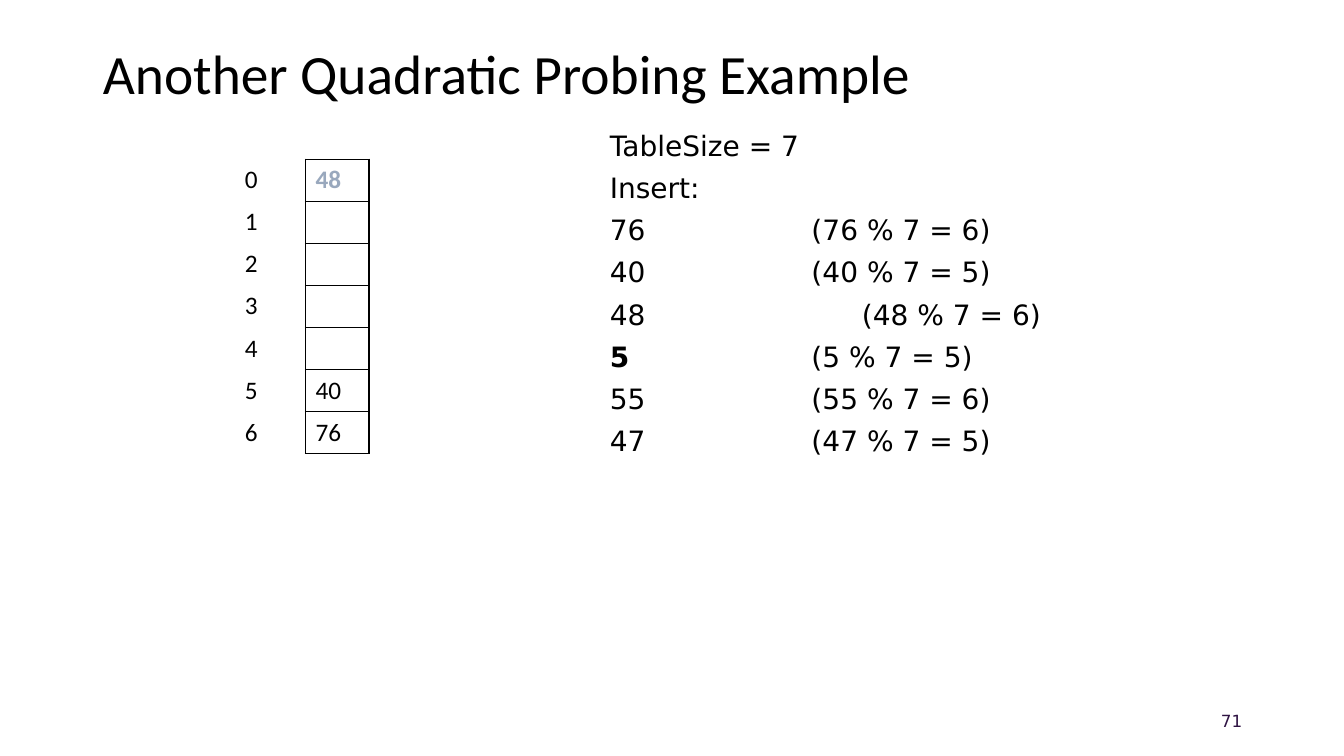
from lxml import etree
from pptx import Presentation
from pptx import util as u
from pptx.dml.color import RGBColor
from pptx.enum import text
from pptx.oxml import ns

BLACK = RGBColor(0x00, 0x00, 0x00)
SLATE = RGBColor(0x99, 0xA8, 0xBD)
PURPLE = RGBColor(0x2F, 0x13, 0x43)

SLOTS = ["48", "", "", "", "", "40", "76"]
# key, its hash calculation, tab position in inches, bold key
INSERTS = [
    ("76", "(76 % 7 = 6)", 2, False),
    ("40", "(40 % 7 = 5)", 2, False),
    ("48", "(48 % 7 = 6)", 2.5, False),
    ("5", "(5 % 7 = 5)", 2, True),
    ("55", "(55 % 7 = 6)", 2, False),
    ("47", "(47 % 7 = 5)", 2, False),
]


class LecturePage:
    heading_font = "Calibri"
    body_font = "DejaVu Sans"

    def __init__(self, deck):
        self.page = deck.slides.add_slide(deck.slide_layouts[5])

    def add_span(self, para, words, font, size, color=BLACK, bold=False):
        span = para.add_run()
        span.text = words
        span.font.name, span.font.size = font, u.Pt(size)
        span.font.bold, span.font.color.rgb = bold, color

    def add_title(self, words):
        box = self.page.shapes.title
        box.left, box.top = u.Inches(0.92), u.Inches(0.4)
        box.width, box.height = u.Inches(11.5), u.Inches(0.72)
        frame = box.text_frame
        frame.auto_size = text.MSO_AUTO_SIZE.NONE
        frame.vertical_anchor = text.MSO_ANCHOR.MIDDLE
        para = frame.paragraphs[0]
        para.alignment = text.PP_ALIGN.LEFT
        para.line_spacing = 0.9
        self.add_span(para, words, self.heading_font, 39.6)

    def add_frame(self, left, top, width, height):
        box = self.page.shapes.add_textbox(
            u.Inches(left), u.Inches(top), u.Inches(width), u.Inches(height))
        box.text_frame.word_wrap = True
        return box.text_frame

    def add_page_number(self, number):
        frame = self.add_frame(9.42, 6.95, 3, 0.4)
        frame.vertical_anchor = text.MSO_ANCHOR.MIDDLE
        para = frame.paragraphs[0]
        para.alignment = text.PP_ALIGN.RIGHT
        self.add_span(para, number, self.body_font, 12, PURPLE)

    def border_cell(self, cell, sides):
        properties = cell._tc.get_or_add_tcPr()
        # Borders come before the fill in the cell properties
        for position, side in enumerate(sides):
            line = etree.Element(ns.qn(f"a:ln{side}"), w=str(u.Pt(1)))
            fill = etree.SubElement(line, ns.qn("a:solidFill"))
            etree.SubElement(fill, ns.qn("a:srgbClr"), val=str(BLACK))
            properties.insert(position, line)

    def add_hash_table(self, slots):
        row_height = u.Inches(2.92 / len(slots))
        table = self.page.shapes.add_table(
            len(slots), 2, u.Inches(2.33), u.Inches(1.58),
            u.Inches(1.33), row_height * len(slots)).table
        table.first_row = table.horz_banding = False
        table.columns[0].width = u.Inches(0.7)
        table.columns[1].width = u.Inches(0.63)
        for index, value in enumerate(slots):
            table.rows[index].height = row_height
            for column, words in enumerate((str(index), value)):
                cell = table.cell(index, column)
                cell.vertical_anchor = text.MSO_ANCHOR.MIDDLE
                cell.fill.background()
                self.border_cell(cell, "LRTB" if column else "R")
                if words:
                    newest = column == 1 and words == "48"
                    self.add_span(cell.text_frame.paragraphs[0], words,
                                  self.heading_font, 18,
                                  SLATE if newest else BLACK, newest)

    def add_list_para(self, frame, first=False, tab=None):
        para = frame.paragraphs[0] if first else frame.add_paragraph()
        if tab:
            properties = para._p.get_or_add_pPr()
            tabs = etree.SubElement(properties, ns.qn("a:tabLst"))
            etree.SubElement(tabs, ns.qn("a:tab"),
                             pos=str(u.Inches(tab)), algn="l")
        para.space_before = u.Pt(0 if first else 6)
        return para

    def add_insert_list(self, headings, inserts):
        frame = self.add_frame(5.95, 1.23, 4.82, 4.64)
        for index, words in enumerate(headings):
            para = self.add_list_para(frame, first=index == 0)
            self.add_span(para, words, self.body_font, 20)
        for key, calculation, tab, bold in inserts:
            para = self.add_list_para(frame, tab=tab)
            self.add_span(para, key, self.body_font, 20, bold=bold)
            self.add_span(para, "\t" + calculation, self.body_font, 20)


def main():
    deck = Presentation()
    deck.slide_width, deck.slide_height = u.Inches(13.33), u.Inches(7.5)
    lecture = LecturePage(deck)

    # Heading and page number
    lecture.add_title("Another Quadratic Probing Example")
    lecture.add_page_number("71")

    # Hash table on the left, insertions on the right
    lecture.add_hash_table(SLOTS)
    lecture.add_insert_list(["TableSize = 7", "Insert:"], INSERTS)

    deck.save("out.pptx")


if __name__ == "__main__":
    main()
